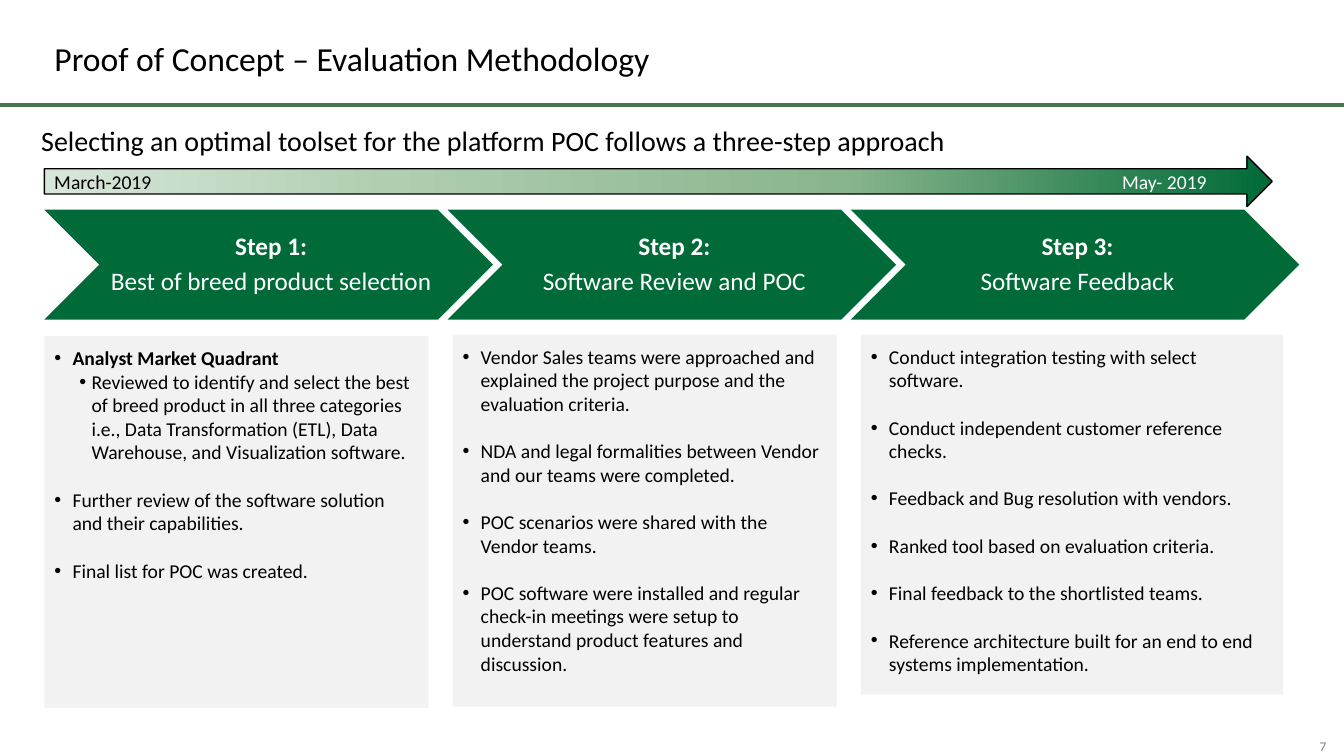
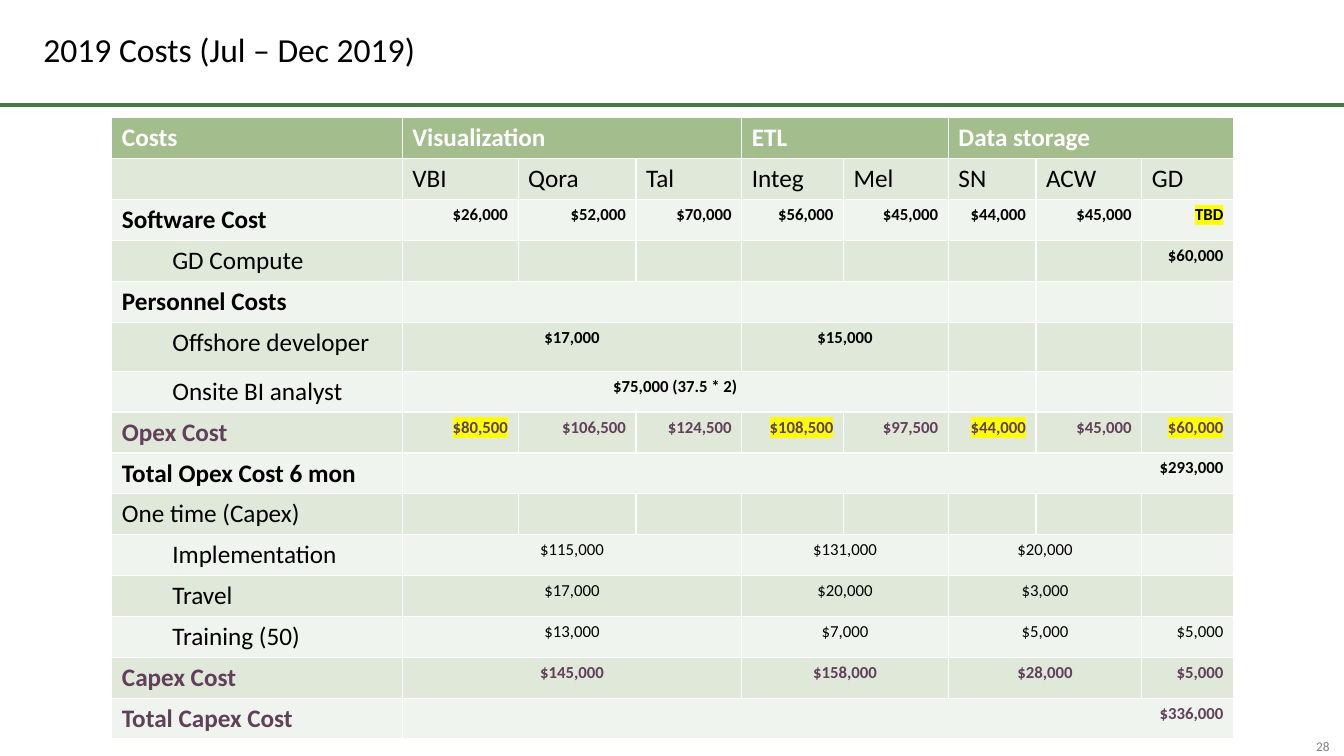
from lxml.etree import SubElement
from pptx import Presentation
from pptx.dml.color import RGBColor
from pptx.enum.shapes import MSO_CONNECTOR, MSO_SHAPE
from pptx.enum.text import MSO_ANCHOR, MSO_AUTO_SIZE, PP_ALIGN
from pptx.oxml.ns import qn
from pptx.util import Pt

BLACK = RGBColor(0x00, 0x00, 0x00)
WHITE = RGBColor(0xFF, 0xFF, 0xFF)
GRAY = RGBColor(0x80, 0x80, 0x80)
PALE = RGBColor(0xF2, 0xF2, 0xF2)
GREEN = RGBColor(0x00, 0x6A, 0x38)
RULE = RGBColor(0x49, 0x75, 0x4C)
HEAD = RGBColor(0xA3, 0xBE, 0x8C)
DARK = RGBColor(0xE0, 0xE8, 0xDA)
LIGHT = RGBColor(0xF0, 0xF4, 0xEE)
PLUM = RGBColor(0x61, 0x40, 0x5B)
YELLOW = RGBColor(0xFF, 0xFF, 0x00)
FADE = ((0, RGBColor(0xD8, 0xE6, 0xD9)), (28, RGBColor(0xB0, 0xCE, 0xB2)),
        (65, RGBColor(0x89, 0xB5, 0x8C)), (100, GREEN))

FONT = "Calibri"
LEFT = 31.7


def write(para, text, size, color=BLACK, bold=False, align=PP_ALIGN.LEFT):
    para.alignment = align
    run = para.add_run()
    run.text = text
    run.font.name = FONT
    run.font.size = Pt(size)
    run.font.bold = bold
    run.font.color.rgb = color
    return run


def label(slide, place, text, size, color=BLACK, align=PP_ALIGN.LEFT):
    box = slide.shapes.add_textbox(*map(Pt, place))
    frame = box.text_frame
    frame.word_wrap = True
    frame.vertical_anchor = MSO_ANCHOR.MIDDLE
    write(frame.paragraphs[0], text, size, color, False, align)
    return frame


deck = Presentation()
deck.slide_width = Pt(960)
deck.slide_height = Pt(540)

pages = (
    ("Proof of Concept – Evaluation Methodology", (LEFT, 23.8, 632, 36), 1.0, "7"),
    ("2019 Costs (Jul – Dec 2019)", (23.8, 6.5, 915.8, 61.2), 0.9, "28"),
)
slides = []
for name, place, space, number in pages:
    slide = deck.slides.add_slide(deck.slide_layouts[5])
    slides.append(slide)
    title = slide.shapes.title
    title.left, title.top, title.width, title.height = map(Pt, place)
    frame = title.text_frame
    frame.word_wrap = True
    frame.auto_size = MSO_AUTO_SIZE.NONE
    frame.vertical_anchor = MSO_ANCHOR.MIDDLE
    frame.paragraphs[0].line_spacing = space
    write(frame.paragraphs[0], name, 24)

    rule = slide.shapes.add_connector(MSO_CONNECTOR.STRAIGHT, Pt(0), Pt(75), Pt(960), Pt(75))
    rule.line.color.rgb = RULE
    rule.line.width = Pt(2.75)
    SubElement(rule.element.spPr, qn("a:effectLst"))

    foot = label(slide, (930, 527, 30, 12), number, 9.5, GRAY, PP_ALIGN.CENTER)
    foot.margin_left = foot.margin_right = foot.margin_top = foot.margin_bottom = 0

method, costs = slides

intro = label(method, (22.3, 71.3, 915.8, 61.2),
              "Selecting an optimal toolset for the platform POC follows a three-step approach", 20)
intro.paragraphs[0].line_spacing = 0.9

arrow = method.shapes.add_shape(MSO_SHAPE.RIGHT_ARROW, Pt(LEFT), Pt(111.6), Pt(877), Pt(36))
arrow.shadow.inherit = False
arrow.line.color.rgb = BLACK
arrow.line.width = Pt(1)
arrow.fill.gradient()
arrow.fill.gradient_angle = 0
stops = arrow.element.spPr.find(qn("a:gradFill")).find(qn("a:gsLst"))
stops.clear()
for spot, color in FADE:
    stop = SubElement(stops, qn("a:gs"), pos=str(spot * 1000))
    SubElement(stop, qn("a:srgbClr"), val=str(color))

label(method, (LEFT, 117.4, 297.4, 24.5), "March-2019", 14)
label(method, (571.7, 117.4, 297.4, 24.5), "May- 2019", 14, WHITE, PP_ALIGN.RIGHT)

steps = (
    ("Step 1:", "Best of breed product selection", (240, 274.3, 265.7), (
        (0, True, "Analyst Market Quadrant"),
        (1, False, "Reviewed to identify and select the best of breed product in all three "
                   "categories i.e., Data Transformation (ETL), Data Warehouse, and "
                   "Visualization software."),
        (0, False, "Further review of the software solution and their capabilities."),
        (0, False, "Final list for POC was created."),
    )),
    ("Step 2:", "Software Review and POC", (239, 274.3, 265.7), (
        (0, False, "Vendor Sales teams were approached and explained the project purpose "
                   "and the evaluation criteria."),
        (0, False, "NDA and legal formalities between Vendor and our teams were completed."),
        (0, False, "POC scenarios were shared with the Vendor teams."),
        (0, False, "POC software were installed and regular check-in meetings were setup "
                   "to understand product features and discussion."),
    )),
    ("Step 3:", "Software Feedback", (239, 301.7, 257), (
        (0, False, "Conduct integration testing with select software."),
        (0, False, "Conduct independent customer reference checks."),
        (0, False, "Feedback and Bug resolution with vendors."),
        (0, False, "Ranked tool based on evaluation criteria."),
        (0, False, "Final feedback to the shortlisted teams."),
        (0, False, "Reference architecture built for an end to end systems implementation."),
    )),
)
for i, (step, topic, (top, width, height), points) in enumerate(steps):
    sign = method.shapes.add_shape(MSO_SHAPE.CHEVRON, Pt(LEFT + 288 * i), Pt(149.8),
                                   Pt(320.4), Pt(78.5))
    panel = method.shapes.add_shape(MSO_SHAPE.RECTANGLE, Pt(LEFT + 291.6 * i), Pt(top),
                                    Pt(width), Pt(height))
    for shape, color in ((sign, GREEN), (panel, PALE)):
        shape.shadow.inherit = False
        shape.fill.solid()
        shape.fill.fore_color.rgb = color
        shape.line.fill.background()
        shape.text_frame.word_wrap = True

    frame = sign.text_frame
    frame.vertical_anchor = MSO_ANCHOR.MIDDLE
    frame.margin_left, frame.margin_right = Pt(3.6), 0
    frame.margin_top = frame.margin_bottom = Pt(2)
    first, second = frame.paragraphs[0], frame.add_paragraph()
    first.line_spacing = second.line_spacing = 0.9
    first.space_after = Pt(6)
    write(first, step, 18, WHITE, True, PP_ALIGN.CENTER)
    write(second, topic, 18, WHITE, False, PP_ALIGN.CENTER)

    frame = panel.text_frame
    frame.vertical_anchor = MSO_ANCHOR.TOP
    frame.margin_top = Pt(7.2)
    for j, (level, bold, text) in enumerate(points):
        para = frame.add_paragraph() if j else frame.paragraphs[0]
        para.level = level
        props = para._p.get_or_add_pPr()
        props.set("marL", str(Pt((13, 26.6)[level])))
        props.set("indent", str(-Pt((13, 8.6)[level])))
        if j and not level:
            para.space_before = Pt(17)
        SubElement(props, qn("a:buFont"), typeface="Arial")
        SubElement(props, qn("a:buChar"), char="•")
        write(para, text, 14, BLACK, bold)

EACH = (1,) * 8
AREA = (3, 2, 3)
PAIR = (3, 2, 2, 1)
STAFF = (3, 2, 1, 1, 1)
rows = (
    ("Costs", 0, True, True, WHITE, AREA, ("Visualization", "ETL", "Data storage")),
    ("", 0, False, False, BLACK, EACH,
     ("VBI", "Qora", "Tal", "Integ", "Mel", "SN", "ACW", "GD")),
    ("Software Cost", 0, True, True, BLACK, EACH,
     ("$26,000", "$52,000", "$70,000", "$56,000", "$45,000", "$44,000", "$45,000", "TBD")),
    ("GD Compute", 1, False, True, BLACK, EACH, ("",) * 7 + ("$60,000",)),
    ("Personnel Costs", 0, True, True, BLACK, STAFF, ("",) * 5),
    ("Offshore developer", 1, False, True, BLACK, STAFF, ("$17,000", "$15,000", "", "", "")),
    ("Onsite BI analyst", 1, False, True, BLACK, (5, 1, 1, 1),
     ("$75,000 (37.5 * 2)", "", "", "")),
    ("Opex Cost", 0, True, True, PLUM, EACH,
     ("$80,500", "$106,500", "$124,500", "$108,500", "$97,500", "$44,000", "$45,000",
      "$60,000")),
    ("Total Opex Cost 6 mon", 0, True, True, BLACK, (8,), ("$293,000",)),
    ("One time (Capex)", 0, False, False, BLACK, EACH, ("",) * 8),
    ("Implementation", 1, False, False, BLACK, PAIR, ("$115,000", "$131,000", "$20,000", "")),
    ("Travel", 1, False, False, BLACK, PAIR, ("$17,000", "$20,000", "$3,000", "")),
    ("Training (50)", 1, False, False, BLACK, PAIR,
     ("$13,000", "$7,000", "$5,000", "$5,000")),
    ("Capex Cost", 0, True, True, PLUM, PAIR, ("$145,000", "$158,000", "$28,000", "$5,000")),
    ("Total Capex Cost", 0, True, True, PLUM, (8,), ("$336,000",)),
)
marks = {(2, 8), (7, 1), (7, 4), (7, 6), (7, 8)}
widths = (207.4, 82.8, 84.2, 75.6, 72.7, 74.9, 62.6, 75.6, 65.5)

table = costs.shapes.add_table(len(rows), len(widths), Pt(79.9), Pt(84.2),
                               Pt(sum(widths)), Pt(443.8)).table
table.horz_banding = False
for column, width in zip(table.columns, widths):
    column.width = Pt(width)

for y, (name, level, strong, bold, color, spans, values) in enumerate(rows):
    table.rows[y].height = Pt(35 if name == "Offshore developer" else 29.2)
    for cell in table.rows[y].cells:
        cell.fill.solid()
        cell.fill.fore_color.rgb = HEAD if y == 0 else (LIGHT, DARK)[y % 2]
    if name:
        para = table.cell(y, 0).text_frame.paragraphs[0]
        para._p.get_or_add_pPr().set("marL", str(Pt(36 * level)))
        write(para, name, 18, color, strong)
    x = 1
    for span, value in zip(spans, values):
        cell = table.cell(y, x)
        if span > 1:
            cell.merge(table.cell(y, x + span - 1))
        if value:
            if y < 2:
                size, align = 18, PP_ALIGN.LEFT
            else:
                size = 12
                align = PP_ALIGN.RIGHT if span in (1, 8) else PP_ALIGN.CENTER
            run = write(cell.text_frame.paragraphs[0], value, size, color, bold, align)
            if (y, x) in marks:
                props = run._r.get_or_add_rPr()
                glow = SubElement(props, qn("a:highlight"))
                SubElement(glow, qn("a:srgbClr"), val=str(YELLOW))
                props.find(qn("a:solidFill")).addnext(glow)
        x += span

deck.save("out.pptx")
